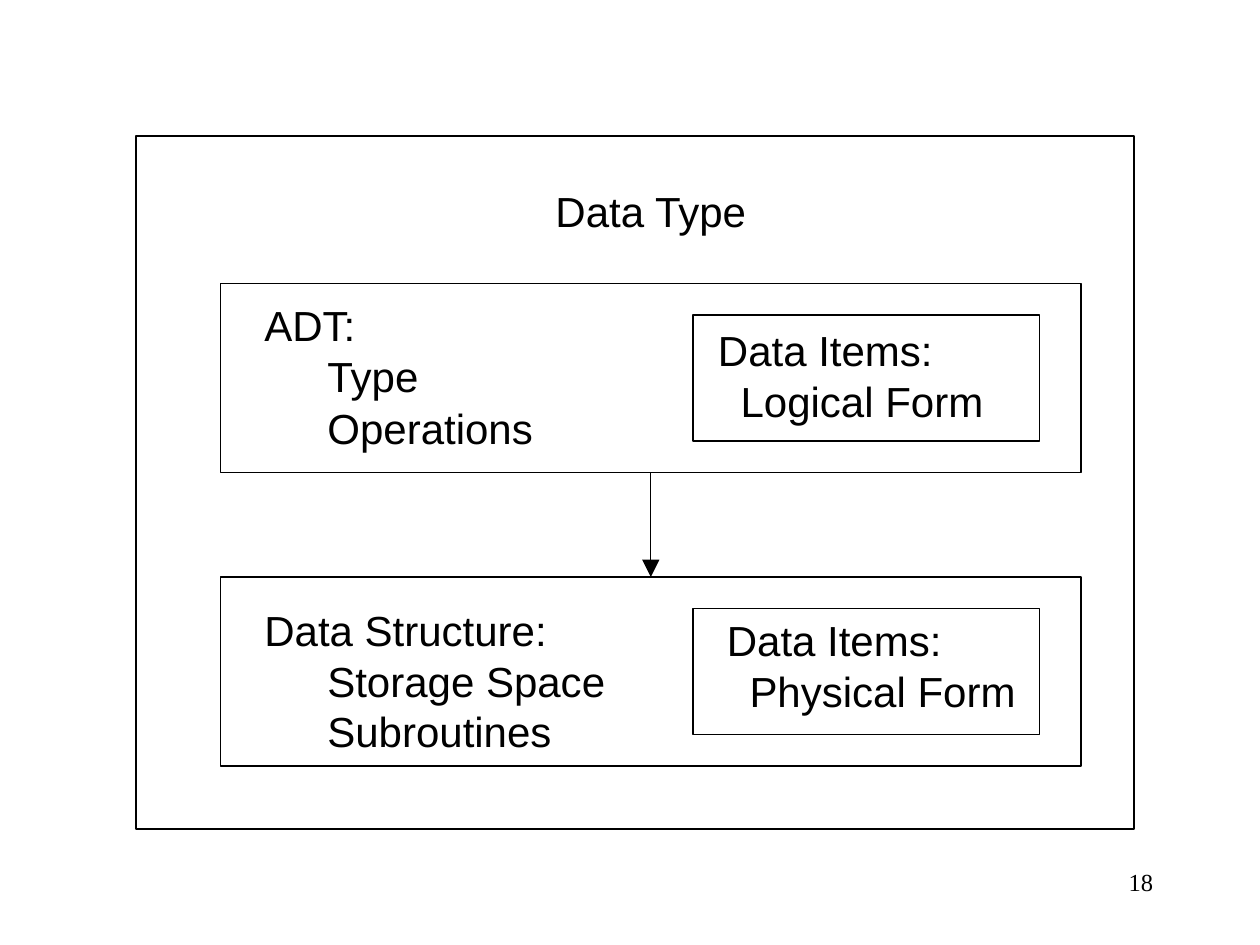
from dataclasses import dataclass

import pptx
import pptx.dml.color
import pptx.enum.shapes
import pptx.enum.text
import pptx.oxml
import pptx.util
from pptx.util import Inches, Pt


@dataclass(frozen=True)
class Theme:
    ink: pptx.dml.color.RGBColor = pptx.dml.color.RGBColor(0, 0, 0)
    font: str = "Arial"
    number_font: str = "Times New Roman"
    text_size: float = 24
    number_size: float = 14
    line_width: float = 0.75


THEME = Theme()
ALIGN = pptx.enum.text.PP_ALIGN

TITLE = "Data Type"
PAGE_NUMBER = "18"
OUTER_FRAME = (1.08, 1.08, 7.92, 5.5)
LAYERS = [
    {
        "lines": ["ADT:", "Type", "Operations"],
        "text_box": (2, 2.5, 2.75, 1.12),
        "line_spacing": 0.5, "space_before": 15,
        "items": ["Data Items:", "Logical Form"],
        "items_box": (5.6, 2.7, 2.74, 0.71),
    },
    {
        "lines": ["Data Structure:", "Storage Space", "Subroutines"],
        "text_box": (2, 4.75, 3.4, 1.3),
        "line_spacing": 1, "space_before": 0,
        "items": ["Data Items:", "Physical Form"],
        "items_box": (5.67, 5, 2.75, 0.71),
    },
]
LAYER_LEFT, LAYER_TOP, LAYER_WIDTH, LAYER_HEIGHT = 1.75, 2.25, 6.83, 1.5
LAYER_PITCH = 2.33
ITEMS_LEFT, ITEMS_INSET, ITEMS_WIDTH, ITEMS_HEIGHT = 5.5, 0.25, 2.75, 1
LINE_INDENT, ITEM_INDENT = 0.5, 0.18


def add_frame(slide, box):
    frame = slide.shapes.add_shape(
        pptx.enum.shapes.MSO_SHAPE.RECTANGLE, *map(Inches, box))
    frame.shadow.inherit = False
    frame.fill.background()
    frame.line.color.rgb = THEME.ink
    frame.line.width = Pt(THEME.line_width)


def write(shape, lines, font=THEME.font, size=THEME.text_size, align=ALIGN.LEFT,
          indent=0, line_spacing=1, space_before=0):
    """Fill a shape with lines, indenting all but the first."""
    text_frame = shape.text_frame
    text_frame.word_wrap = True
    text_frame.vertical_anchor = pptx.enum.text.MSO_ANCHOR.TOP
    text_frame.text = "\n".join(lines)
    for index, paragraph in enumerate(text_frame.paragraphs):
        paragraph.alignment = align
        paragraph.line_spacing = line_spacing
        paragraph.space_before = Pt(space_before)
        paragraph.font.name = font
        paragraph.font.size = Pt(size)
        paragraph.font.color.rgb = THEME.ink
        if index and indent:
            properties = paragraph._p.get_or_add_pPr()
            properties.set("marL", str(Inches(indent)))
            properties.set("indent", "0")


def add_text(slide, box, lines, **style):
    write(slide.shapes.add_textbox(*map(Inches, box)), lines, **style)


def add_arrow(slide, x, top, bottom):
    arrow = slide.shapes.add_connector(
        pptx.enum.shapes.MSO_CONNECTOR.STRAIGHT,
        Inches(x), Inches(top), Inches(x), Inches(bottom))
    arrow.line.color.rgb = THEME.ink
    arrow.line.width = Pt(THEME.line_width)
    head = pptx.oxml.parse_xml(
        '<a:tailEnd xmlns:a="http://schemas.openxmlformats.org/drawingml/2006/main"'
        ' type="triangle" w="lg" len="lg"/>')
    arrow.line._get_or_add_ln().append(head)
    effects = pptx.oxml.parse_xml(
        '<a:effectLst xmlns:a="http://schemas.openxmlformats.org/drawingml/2006/main"/>')
    arrow._element.spPr.append(effects)


def main():
    presentation = pptx.Presentation()
    presentation.slide_width, presentation.slide_height = Inches(10), Inches(7.5)
    slide = presentation.slides.add_slide(presentation.slide_layouts[5])

    title = slide.shapes.title
    title.left, title.top, title.width, title.height = map(
        Inches, (2.83, 1.42, 4.67, 0.5))
    write(title, [TITLE], align=ALIGN.CENTER)
    add_text(slide, (7.17, 6.83, 2.08, 0.5), [PAGE_NUMBER], align=ALIGN.RIGHT,
             font=THEME.number_font, size=THEME.number_size)

    add_frame(slide, OUTER_FRAME)
    for row, layer in enumerate(LAYERS):
        top = LAYER_TOP + row * LAYER_PITCH
        add_frame(slide, (LAYER_LEFT, top, LAYER_WIDTH, LAYER_HEIGHT))
        add_frame(slide, (ITEMS_LEFT, top + ITEMS_INSET, ITEMS_WIDTH, ITEMS_HEIGHT))
        add_text(slide, layer["text_box"], layer["lines"], indent=LINE_INDENT,
                 line_spacing=layer["line_spacing"],
                 space_before=layer["space_before"])
        add_text(slide, layer["items_box"], layer["items"], indent=ITEM_INDENT,
                 line_spacing=0.5, space_before=15)
    add_arrow(slide, LAYER_LEFT + LAYER_WIDTH / 2,
              LAYER_TOP + LAYER_HEIGHT, LAYER_TOP + LAYER_PITCH)

    presentation.save("out.pptx")


if __name__ == "__main__":
    main()
